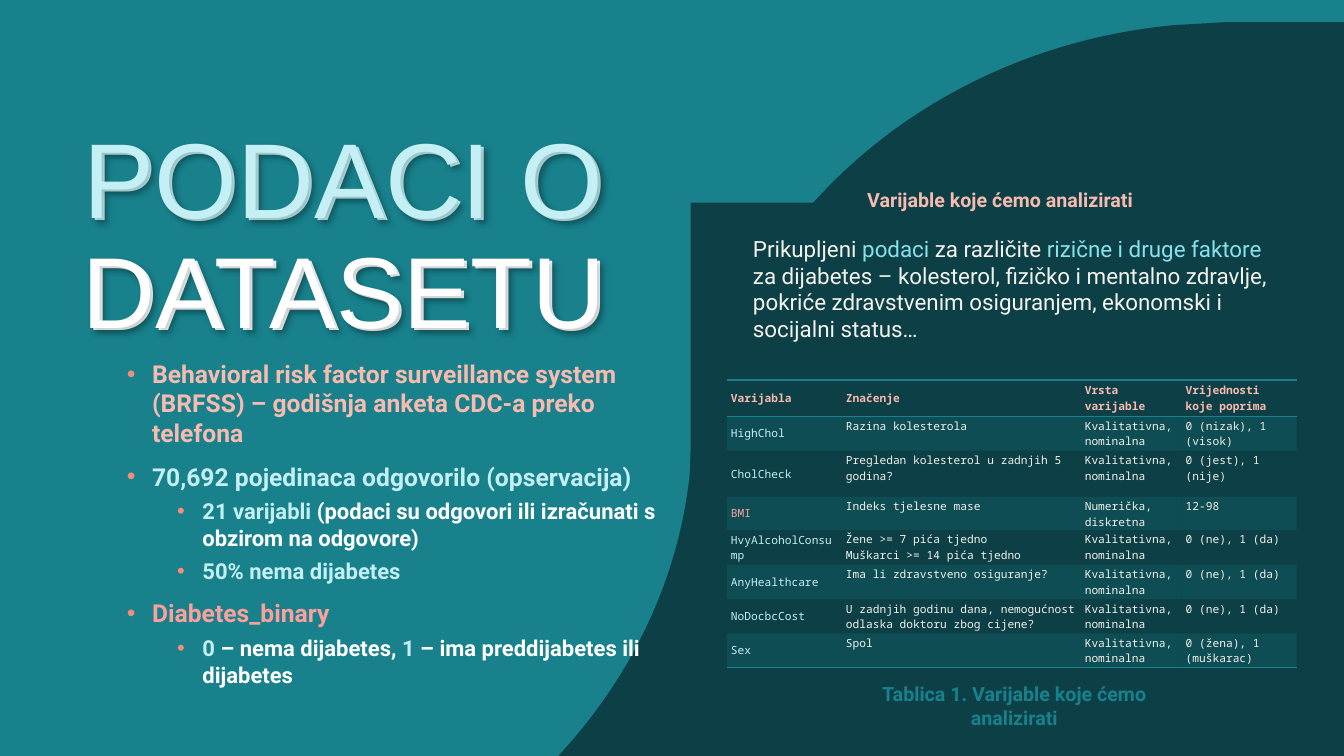
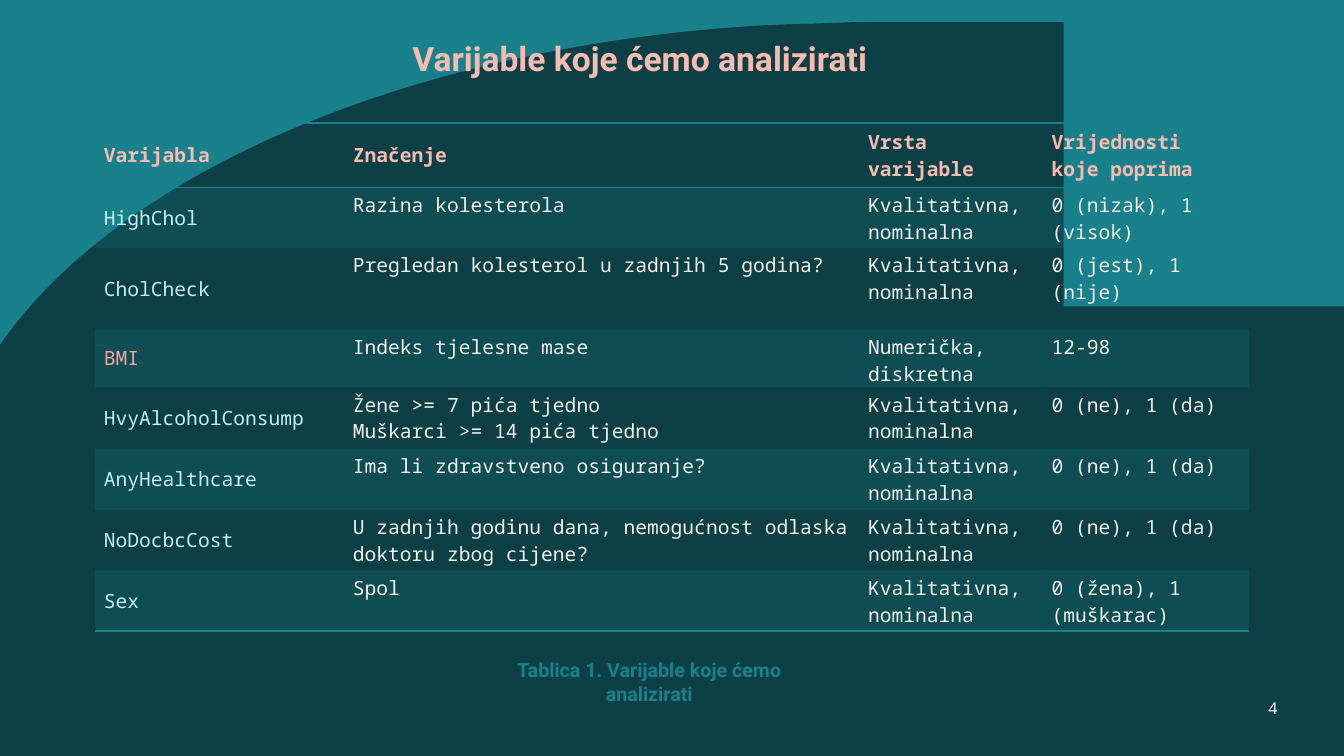
from lxml.etree import SubElement
from pptx import Presentation
from pptx.dml.color import RGBColor
from pptx.enum.text import MSO_ANCHOR, MSO_AUTO_SIZE, PP_ALIGN
from pptx.oxml import parse_xml
from pptx.oxml.ns import nsdecls, qn
from pptx.util import Inches, Pt

# Shared colours, fonts and formats
TEAL, DARK, PINK, ROSE = "18818C", "0C4046", "F8BBB0", "FAA19D"
CORAL, ICE, AQUA, CREAM, WHITE = "F48E7C", "C4F0F5", "89E1EB", "F4F2EC", "FFFFFF"
SANS, MONO, DISPLAY = "Roboto", "Noto Sans Mono", "Arial"
NO_STYLE_TABLE = "{2D5ABB26-0587-4C30-8999-92F81FD0307C}"
CENTERED = {"alignment": PP_ALIGN.CENTER}


def color(value):
    return RGBColor.from_string(value)


def write(shape, paragraphs, font, paragraph_format):
    """Each paragraph is a list of (text, colour, size) runs."""
    frame = shape.text_frame
    frame.word_wrap = True
    for index, runs in enumerate(paragraphs):
        paragraph = frame.add_paragraph() if index else frame.paragraphs[0]
        for name, value in paragraph_format.items():
            setattr(paragraph, name, value)
        for text, run_color, size in runs:
            run = paragraph.add_run()
            run.text = text
            for name, value in {**font, "size": Pt(size)}.items():
                setattr(run.font, name, value)
            run.font.color.rgb = color(run_color)
    return frame


HEADING = "Varijable koje ćemo analizirati"
CAPTION = "Tablica 1. Varijable koje ćemo analizirati"
BOLD_SANS = {"name": SANS, "bold": True}

NOMINAL, YES_NO = "Kvalitativna, nominalna", "0 (ne), 1 (da)"
TABLE_ROWS = [
    ("Varijabla", "Značenje", "Vrsta varijable", "Vrijednosti koje poprima"),
    ("HighChol", "Razina kolesterola", NOMINAL, "0 (nizak), 1 (visok)"),
    ("CholCheck", "Pregledan kolesterol u zadnjih 5 godina?", NOMINAL, "0 (jest), 1 (nije)"),
    ("BMI", "Indeks tjelesne mase", "Numerička, diskretna", "12-98"),
    ("HvyAlcoholConsump", "Žene >= 7 pića tjedno\nMuškarci >= 14 pića tjedno", NOMINAL, YES_NO),
    ("AnyHealthcare", "Ima li zdravstveno osiguranje?", NOMINAL, YES_NO),
    ("NoDocbcCost", "U zadnjih godinu dana, nemogućnost odlaska doktoru zbog cijene?",
     NOMINAL, YES_NO),
    ("Sex", "Spol", NOMINAL, "0 (žena), 1 (muškarac)"),
]

# A panel is a colour and its corners; a group of three points is a Bézier curve
SLIDES = [
    {
        "panels": [
            (DARK, [(3.96, 18.24), (1.79, 18.24), (1.79, 2.01), (13.33, 2.01), (13.33, 10.34),
                    (13.31, 10.76), ((12.88, 14.68), (9.33, 17.8), (4.86, 18.2))]),
            (TEAL, [(0.91, 9.45), (-0.46, 9.45), (-0.46, -0.83), (6.85, -0.83), (6.85, 4.44),
                    (6.84, 4.71), ((6.57, 7.19), (4.32, 9.17), (1.48, 9.42))]),
            (DARK, [(12.15, 0.22), (13.38, 0.22), (13.38, 9.86), (6.85, 9.86), (6.85, 4.92),
                    (6.87, 4.67), ((7.11, 2.34), (9.11, 0.49), (11.64, 0.25))]),
        ],
        "table": (7.21, 3.77),
        "columns": [1.14, 2.37, 1, 1.14],
        "rows": [0.36, 0.34, 0.46, 0.32, 0.34, 0.34, 0.34, 0.34],
        "size": 8,
        "margins": (0.04, 0.02),
        "caption": (8.2, 6.72),
    },
    {
        "panels": [
            (DARK, [(4.04, 14.85), (1.79, 14.85), (1.79, 3.04), (13.79, 3.04), (13.79, 9.1),
                    (13.77, 9.4), ((13.32, 12.26), (9.63, 14.53), (4.98, 14.82))]),
            (TEAL, [(0.53, 9.31), (-0.46, 9.31), (-0.46, -0.83), (4.81, -0.83), (4.81, 4.37),
                    (4.8, 4.64), ((4.61, 7.09), (2.99, 9.04), (0.94, 9.29))]),
            (DARK, [(8.47, 0.22), (10.55, 0.22), (10.55, 9.86), (-0.55, 9.86), (-0.55, 4.92),
                    (-0.53, 4.67), ((-0.12, 2.34), (3.3, 0.49), (7.6, 0.25))]),
        ],
        "table": (0.94, 1.22),
        "columns": [2.47, 5.11, 1.82, 2.05],
        "rows": [0.64, 0.6, 0.81, 0.54, 0.61, 0.61, 0.6, 0.6],
        "size": 14,
        "margins": (0.09, 0.04),
        "caption": (4.58, 6.48),
    },
]

presentation = Presentation()
presentation.slide_width, presentation.slide_height = Inches(13.33), Inches(7.5)
background = presentation.slide_master.background.fill
background.solid()
background.fore_color.rgb = color(TEAL)

# Parts on both slides: panels, table, caption
for content in SLIDES:
    slide = presentation.slides.add_slide(presentation.slide_layouts[5])

    for panel_color, (*corners, curve) in content["panels"]:
        points = [(Inches(x), Inches(y)) for x, y in [*corners, *curve]]
        builder = slide.shapes.build_freeform(*points[0])
        builder.add_line_segments(points[1:])
        panel = builder.convert_to_shape()
        panel.shadow.inherit = False
        panel.fill.solid()
        panel.fill.fore_color.rgb = color(panel_color)
        panel.line.fill.background()
        # Join the three points of the curve, just before the closing line, into one segment
        segments = list(panel.element.iter(qn("a:lnTo")))[len(corners) - 1:][:len(curve)]
        bezier = parse_xml(f'<a:cubicBezTo {nsdecls("a")}/>')
        segments[0].addprevious(bezier)
        for segment in segments:
            bezier.append(segment[0])
            segment.getparent().remove(segment)

    columns, rows = content["columns"], content["rows"]
    left, top = content["table"]
    table = slide.shapes.add_table(
        len(rows), len(columns), Inches(left), Inches(top),
        Inches(sum(columns)), Inches(sum(rows))).table
    table.first_row = table.horz_banding = False
    table._tbl.tblPr.find(qn("a:tableStyleId")).text = NO_STYLE_TABLE
    for column, width in zip(table.columns, columns):
        column.width = Inches(width)
    for row, height in zip(table.rows, rows):
        row.height = Inches(height)

    side, end = (Inches(margin) for margin in content["margins"])
    for row_index, texts in enumerate(TABLE_ROWS):
        is_header = row_index == 0
        for column_index, text in enumerate(texts):
            cell = table.cell(row_index, column_index)
            is_name = column_index == 0
            is_middle = is_header or is_name
            cell_format = {
                "margin_left": side, "margin_right": side,
                "margin_top": end, "margin_bottom": end if is_middle else 0,
                "vertical_anchor": MSO_ANCHOR.MIDDLE if is_middle else MSO_ANCHOR.TOP,
            }
            for name, value in cell_format.items():
                setattr(cell, name, value)
            text_color = CREAM
            if is_header:
                text_color = PINK
            elif is_name:
                text_color = ROSE if text == "BMI" else ICE
            write(cell, [[(line, text_color, content["size"])] for line in text.split("\n")],
                  {"name": MONO, "bold": is_header}, {})

            # Every other row is tinted
            if row_index % 2:
                cell.fill.solid()
                cell.fill.fore_color.rgb = color(TEAL)
                tint = cell._tc.tcPr.find(".//" + qn("a:srgbClr"))
                SubElement(tint, qn("a:alpha"), val="20000")
            else:
                cell.fill.background()

            # Rules above and below the header and under the last row
            edges = []
            if is_header:
                edges = ["lnT", "lnB"]
            elif row_index == len(TABLE_ROWS) - 1:
                edges = ["lnB"]
            for position, edge in enumerate(edges):
                cell._tc.tcPr.insert(position, parse_xml(
                    f'<a:{edge} {nsdecls("a")} w="12700"><a:solidFill>'
                    f'<a:srgbClr val="{TEAL}"/></a:solidFill></a:{edge}>'))

    left, top = content["caption"]
    caption = slide.shapes.add_textbox(Inches(left), Inches(top), Inches(3.72), Inches(0.34))
    write(caption, [[(CAPTION, TEAL, 14)]], BOLD_SANS, CENTERED)

data_slide, variables_slide = presentation.slides

# Slide 1: title over an offset second layer, both with a soft shadow
title = data_slide.shapes.title
title_layer = data_slide.shapes.add_textbox(0, 0, 0, 0)
data_slide.shapes.element.append(title.element)
for shape, left, top in [(title_layer, 0.66, 1.23), (title, 0.63, 1.21)]:
    position = {"left": left, "top": top, "width": 5.56, "height": 2.46}
    for name, value in position.items():
        setattr(shape, name, Inches(value))
    frame = write(shape, [[("PODACI O ", ICE, 76), ("DATASETU", WHITE, 72)]],
                  {"name": DISPLAY}, {**CENTERED, "line_spacing": 0.9})
    frame.auto_size = MSO_AUTO_SIZE.NONE
    frame.vertical_anchor = MSO_ANCHOR.TOP
    shape.element.spPr.append(parse_xml(
        f'<a:effectLst {nsdecls("a")}><a:outerShdw blurRad="50800" dist="38100" dir="2700000">'
        '<a:srgbClr val="000000"><a:alpha val="20000"/></a:srgbClr>'
        '</a:outerShdw></a:effectLst>'))

# Slide 1: bullets as (level, runs)
bullets = [
    (0, [("Behavioral risk factor surveillance system (BRFSS) – godišnja anketa CDC-a "
          "preko telefona", PINK)]),
    (0, [("70,692 pojedinaca odgovorilo (opservacija)", ICE)]),
    (1, [("21 varijabli ", ICE),
         ("(podaci su odgovori ili izračunati s obzirom na odgovore)", WHITE)]),
    (1, [("50% nema dijabetes", ICE)]),
    (0, [("Diabetes_binary", ROSE)]),
    (1, [("0", ICE), (" – nema dijabetes, ", WHITE), ("1", ICE),
         (" – ima preddijabetes ili dijabetes", WHITE)]),
]
LEVEL_SIZE, LEVEL_SPACE, LEVEL_INDENT = (17.6, 15.7), (10, 5), (0.25, 0.75)
bullet_box = data_slide.shapes.add_textbox(
    Inches(1.16), Inches(3.51), Inches(5.56), Inches(3.58))
frame = write(bullet_box,
              [[(text, run_color, LEVEL_SIZE[level]) for text, run_color in runs]
               for level, runs in bullets], BOLD_SANS, {})
for paragraph, (level, runs) in zip(frame.paragraphs, bullets):
    paragraph.level = level
    paragraph.space_before = Pt(LEVEL_SPACE[level])
    properties = paragraph._p.get_or_add_pPr()
    properties.set("marL", str(Inches(LEVEL_INDENT[level])))
    properties.set("indent", str(Inches(-0.25)))
    bullet_color = SubElement(properties, qn("a:buClr"))
    SubElement(bullet_color, qn("a:srgbClr"), val=CORAL)
    SubElement(properties, qn("a:buFont"), typeface=DISPLAY)
    SubElement(properties, qn("a:buChar"), char="•")

# Slide 1: heading and introduction above the table
heading = data_slide.shapes.add_textbox(Inches(8.38), Inches(1.82), Inches(3.08), Inches(0.34))
write(heading, [[(HEADING, PINK, 14)]], BOLD_SANS, CENTERED)
introduction = data_slide.shapes.add_textbox(
    Inches(7.37), Inches(2.28), Inches(5.34), Inches(1.18))
write(introduction, [[
    ("Prikupljeni ", CREAM, 16), ("podaci", AQUA, 16), (" za različite ", CREAM, 16),
    ("rizične i druge faktore ", AQUA, 16),
    ("za dijabetes – kolesterol, fizičko i mentalno zdravlje, pokriće zdravstvenim "
     "osiguranjem, ekonomski i socijalni status…", CREAM, 16),
]], {"name": SANS}, {})

# Slide 2: title in front of the panels, slide number
title = variables_slide.shapes.title
variables_slide.shapes.element.append(title.element)
position = {"left": 3.62, "top": 0.33, "width": 5.45, "height": 0.5}
for name, value in position.items():
    setattr(title, name, Inches(value))
frame = write(title, [[(HEADING, PINK, 24)]], BOLD_SANS, CENTERED)
frame.auto_size = MSO_AUTO_SIZE.NONE
frame.vertical_anchor = MSO_ANCHOR.TOP
number = variables_slide.shapes.add_textbox(
    Inches(11.92), Inches(6.54), Inches(1.41), Inches(0.96))
frame = write(number, [[("4", WHITE, 12)]], {"name": DISPLAY}, CENTERED)
frame.vertical_anchor = MSO_ANCHOR.MIDDLE

presentation.save("out.pptx")
